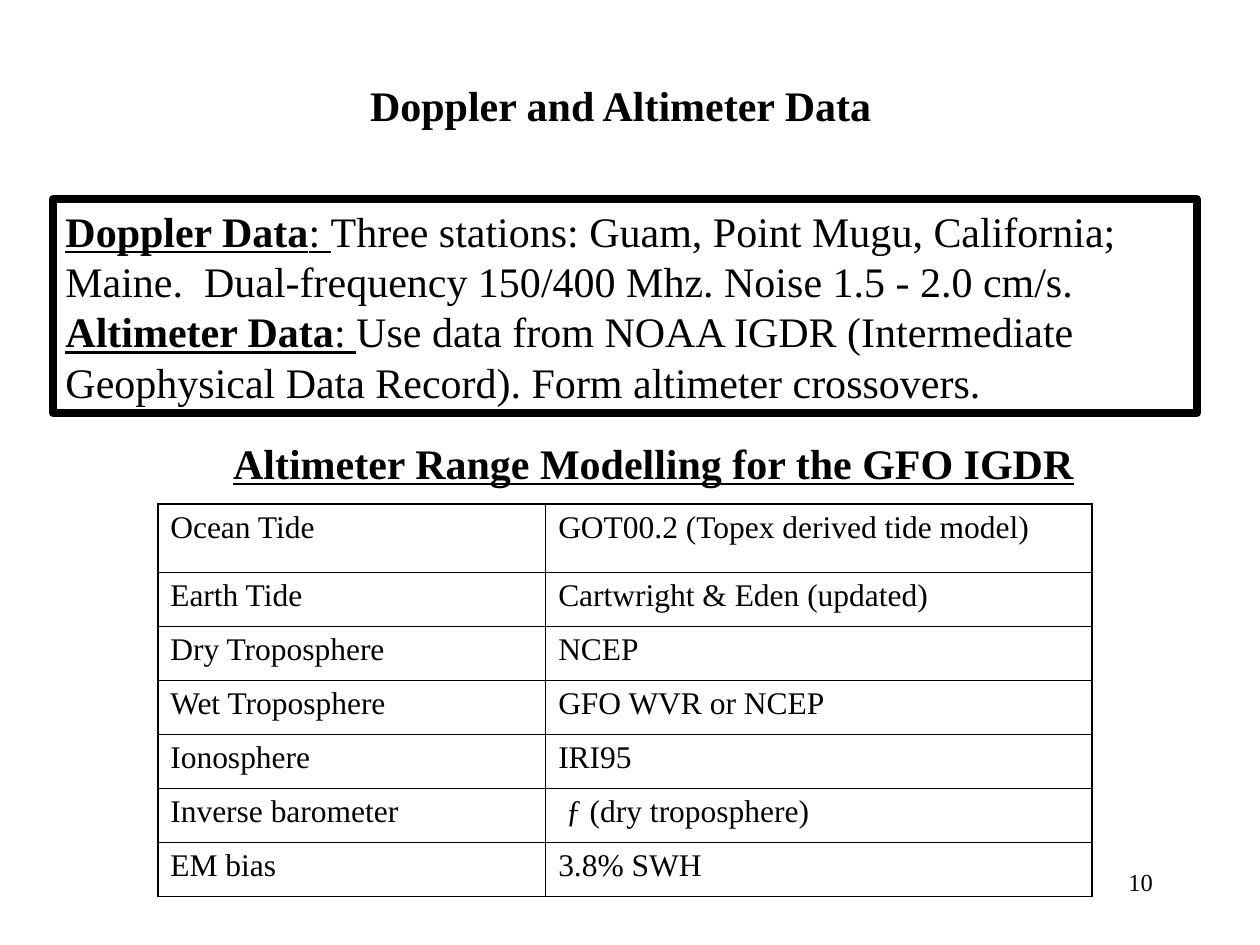
from collections import namedtuple
from dataclasses import dataclass

from lxml.etree import SubElement
from pptx import Presentation
from pptx.dml.color import RGBColor
from pptx.enum.shapes import MSO_SHAPE
from pptx.enum.text import MSO_ANCHOR, MSO_AUTO_SIZE as AUTO, PP_ALIGN
from pptx.oxml.ns import qn
from pptx.util import Cm, Pt

Box = namedtuple("Box", "x y w h")
Run = namedtuple("Run", "text bold underline", defaults=(False, False))


@dataclass(frozen=True)
class Theme:
    font: str = "Times New Roman"
    ink: str = "000000"
    heading: float = 24
    cell: float = 18
    number: float = 14
    frame: float = 4.5
    outer: float = 1.08
    inner: float = 0.45


THEME = Theme()
INK = RGBColor.from_string(THEME.ink)

SUMMARY = [
    [Run("Doppler Data", True, True), Run(": ", False, True),
     Run("Three stations: Guam, Point Mugu, California; Maine.  "
         "Dual-frequency 150/400 Mhz. Noise 1.5 - 2.0 cm/s.")],
    [Run("Altimeter Data", True, True), Run(": ", False, True),
     Run("Use data from NOAA IGDR (Intermediate Geophysical Data Record). "
         "Form altimeter crossovers.")],
]
MODELS = [
    ("Ocean Tide", "GOT00.2 (Topex derived tide model)"),
    ("Earth Tide", "Cartwright & Eden (updated)"),
    ("Dry Troposphere", "NCEP"),
    ("Wet Troposphere", "GFO WVR or NCEP"),
    ("Ionosphere", "IRI95"),
    ("Inverse barometer", " ƒ (dry troposphere)"),
    ("EM bias", "3.8% SWH"),
]


def place(box):
    return [Cm(v) for v in box]


def write(tf, paragraphs, size, align=PP_ALIGN.LEFT):
    for i, runs in enumerate(paragraphs):
        p = tf.add_paragraph() if i else tf.paragraphs[0]
        p.alignment = align
        for run in runs:
            r = p.add_run()
            r.text = run.text
            r.font.name = THEME.font
            r.font.size = Pt(size)
            r.font.bold = run.bold
            r.font.underline = run.underline
            r.font.color.rgb = INK


def add_heading(slide, box, run):
    tf = slide.shapes.add_textbox(*place(box)).text_frame
    tf.word_wrap = False
    tf.auto_size = AUTO.SHAPE_TO_FIT_TEXT
    write(tf, [[run]], THEME.heading)


def add_summary(slide, box):
    sp = slide.shapes.add_shape(MSO_SHAPE.RECTANGLE, *place(box))
    sp.shadow.inherit = False
    sp.fill.background()
    sp.line.color.rgb = INK
    sp.line.width = Pt(THEME.frame)
    tf = sp.text_frame
    tf.word_wrap = True
    tf.auto_size = AUTO.SHAPE_TO_FIT_TEXT
    tf.vertical_anchor = MSO_ANCHOR.TOP
    write(tf, SUMMARY, THEME.heading)


def set_borders(cell, outer_sides):
    tc_pr = cell._tc.get_or_add_tcPr()
    for i, side in enumerate("LRTB"):
        width = THEME.outer if side in outer_sides else THEME.inner
        ln = SubElement(tc_pr, qn(f"a:ln{side}"), w=str(int(Pt(width))))
        fill = SubElement(ln, qn("a:solidFill"))
        SubElement(fill, qn("a:srgbClr"), val=THEME.ink)
        tc_pr.insert(i, ln)


def add_models(slide, box, first_col, first_row):
    rows, cols = len(MODELS), len(MODELS[0])
    table = slide.shapes.add_table(rows, cols, *place(box)).table
    table.first_row = False
    table.horz_banding = False
    table.columns[0].width = Cm(first_col)
    table.columns[1].width = Cm(box.w - first_col)
    for i, row in enumerate(MODELS):
        other = (box.h - first_row) / (rows - 1)
        table.rows[i].height = Cm(other if i else first_row)
        for j, text in enumerate(row):
            cell = table.cell(i, j)
            cell.fill.background()
            edges = {"L": j == 0, "R": j == cols - 1,
                     "T": i == 0, "B": i == rows - 1}
            set_borders(cell, [side for side, outer in edges.items() if outer])
            write(cell.text_frame, [[Run(text)]], THEME.cell)


def add_number(slide, box, number):
    tf = slide.shapes.add_textbox(*place(box)).text_frame
    tf.word_wrap = True
    write(tf, [[Run(number)]], THEME.number, PP_ALIGN.RIGHT)


def main():
    prs = Presentation()
    prs.slide_width, prs.slide_height = Cm(25.4), Cm(19.05)
    slide = prs.slides.add_slide(prs.slide_layouts[6])
    add_summary(slide, Box(1.07, 4.01, 23.06, 4.32))
    add_heading(slide, Box(7.21, 1.47, 10.69, 1.27),
                Run("Doppler and Altimeter Data", True))
    add_models(slide, Box(3.18, 10.16, 18.84, 7.91), 7.82, 1.37)
    add_heading(slide, Box(4.45, 8.69, 17.48, 1.27),
                Run("Altimeter Range Modelling for the GFO IGDR", True, True))
    add_number(slide, Box(18.21, 17.35, 5.28, 1.27), "10")
    prs.save("out.pptx")


if __name__ == "__main__":
    main()
